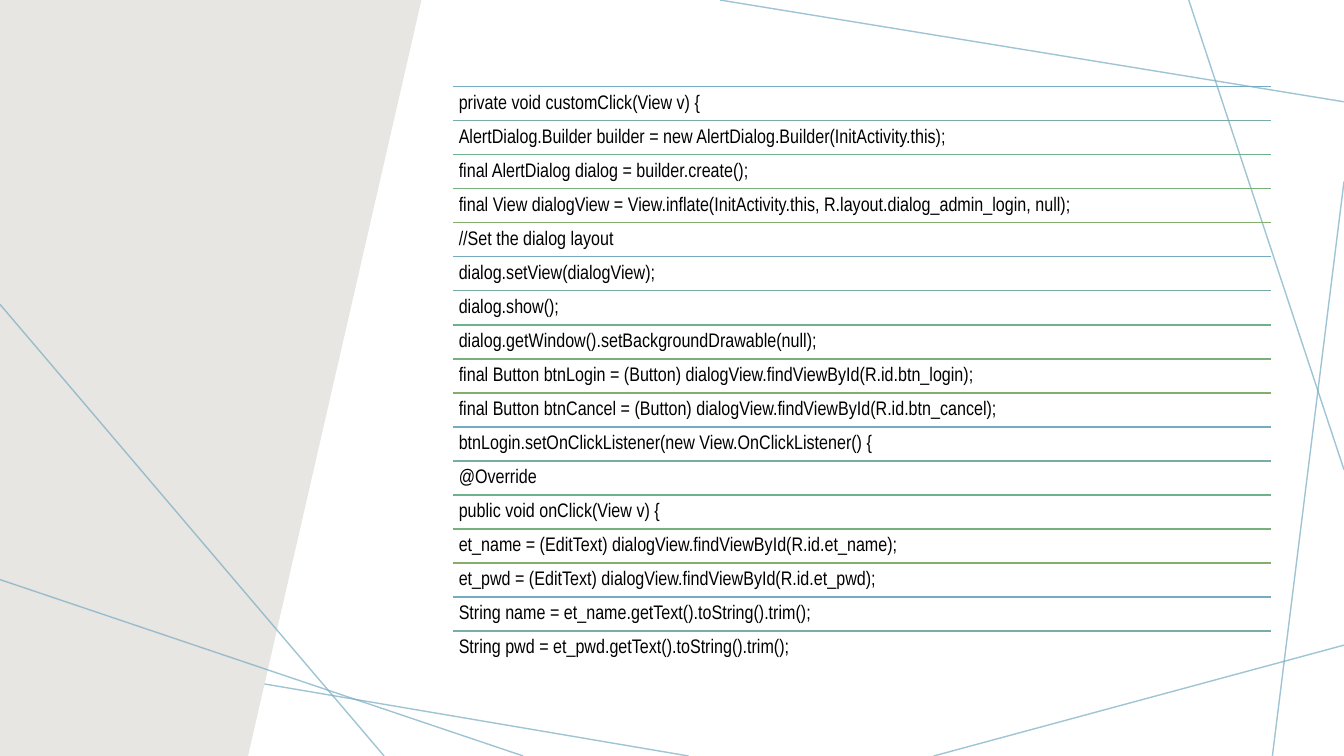
from typing import NamedTuple

from lxml.etree import SubElement
from pptx import Presentation
from pptx.dml.color import RGBColor
from pptx.enum.shapes import MSO_CONNECTOR
from pptx.enum.text import MSO_ANCHOR, PP_ALIGN
from pptx.oxml.ns import qn
from pptx.slide import Slide
from pptx.util import Inches, Pt

BLACK = RGBColor(0x00, 0x00, 0x00)
BEIGE = RGBColor(0xE8, 0xE6, 0xE2)
BLUE = RGBColor(0x77, 0xAB, 0xC2)
TEAL = RGBColor(0x78, 0xAC, 0xA6)
MINT = RGBColor(0x6D, 0xB1, 0x8D)
GREEN = RGBColor(0x77, 0xB0, 0x7A)
OLIVE = RGBColor(0x83, 0xAE, 0x6B)
TINTS = (BLUE, TEAL, MINT, GREEN, OLIVE)


class Line(NamedTuple):
    x1: float
    y1: float
    x2: float
    y2: float
    color: RGBColor = BLUE
    alpha: int = 100


BACK = [
    Line(6.83, 7.5, 0, 6.34, alpha=70),
    Line(13.33, 6.4, 9.26, 7.5, alpha=70),
    Line(13.33, 1.8, 12.62, 7.5, alpha=70),
    Line(13.33, 4.66, 11.79, 0, alpha=70),
    Line(13.33, 1.01, 7.14, 0, alpha=70),
]
FRONT = [
    Line(0, 3.02, 3.81, 7.5, alpha=70),
    Line(5.19, 7.5, 0, 5.75, alpha=70),
]
PANEL = [(0, 0), (4.18, 0), (2.46, 7.5), (0, 7.5)]

CODE = [
    "private void customClick(View v) {",
    "AlertDialog.Builder builder = new AlertDialog.Builder(InitActivity.this);",
    "final AlertDialog dialog = builder.create();",
    "final View dialogView = View.inflate(InitActivity.this, R.layout.dialog_admin_login, null);",
    "//Set the dialog layout",
    "dialog.setView(dialogView);",
    "dialog.show();",
    "dialog.getWindow().setBackgroundDrawable(null);",
    "final Button btnLogin = (Button) dialogView.findViewById(R.id.btn_login);",
    "final Button btnCancel = (Button) dialogView.findViewById(R.id.btn_cancel);",
    "btnLogin.setOnClickListener(new View.OnClickListener() {",
    "@Override",
    "public void onClick(View v) {",
    "et_name = (EditText) dialogView.findViewById(R.id.et_name);",
    "et_pwd = (EditText) dialogView.findViewById(R.id.et_pwd);",
    "String name = et_name.getText().toString().trim();",
    "String pwd = et_pwd.getText().toString().trim();",
]
LEFT, TOP, WIDTH = 4.49, 0.86, 8.12
STEP = 5.4 / 16


def draw_line(slide: Slide, line: Line) -> None:
    rule = slide.shapes.add_connector(
        MSO_CONNECTOR.STRAIGHT,
        Inches(line.x1), Inches(line.y1), Inches(line.x2), Inches(line.y2),
    )
    rule.line.color.rgb = line.color
    rule.line.width = Pt(1)
    props = rule._element.spPr
    SubElement(props, qn("a:effectLst"))
    if line.alpha < 100:
        tint = props.find(".//" + qn("a:srgbClr"))
        SubElement(tint, qn("a:alpha")).set("val", str(line.alpha * 1000))


def draw_panel(slide: Slide) -> None:
    first, *rest = [(Inches(x), Inches(y)) for x, y in PANEL]
    pen = slide.shapes.build_freeform(*first)
    pen.add_line_segments(rest, close=True)
    panel = pen.convert_to_shape()
    panel.shadow.inherit = False
    panel.fill.solid()
    panel.fill.fore_color.rgb = BEIGE
    panel.line.fill.background()


def add_text(slide: Slide, text: str, *, left: float, top: float,
             width: float, height: float, size: float = 14,
             font: str = "Arial Narrow", color: RGBColor = BLACK,
             inset: float = 0.06, space: float = 0.9) -> None:
    box = slide.shapes.add_textbox(
        Inches(left), Inches(top), Inches(width), Inches(height)
    )
    frame = box.text_frame
    frame.word_wrap = True
    frame.vertical_anchor = MSO_ANCHOR.TOP
    frame.margin_left = frame.margin_right = Inches(inset)
    frame.margin_top = frame.margin_bottom = Inches(inset)
    para = frame.paragraphs[0]
    para.alignment = PP_ALIGN.LEFT
    para.line_spacing = space
    run = para.add_run()
    run.text = text
    run.font.name = font
    run.font.size = Pt(size)
    run.font.color.rgb = color


def main() -> None:
    deck = Presentation()
    deck.slide_width = Inches(13.33)
    deck.slide_height = Inches(7.5)
    slide = deck.slides.add_slide(deck.slide_layouts[6])
    for line in BACK:
        draw_line(slide, line)
    draw_panel(slide)
    for line in FRONT:
        draw_line(slide, line)
    for row, text in enumerate(CODE):
        top = TOP + row * STEP
        color = TINTS[row % len(TINTS)]
        draw_line(slide, Line(LEFT, top, LEFT + WIDTH, top, color))
        add_text(slide, text, left=LEFT, top=top, width=WIDTH, height=STEP)
    deck.save("out.pptx")


if __name__ == "__main__":
    main()
